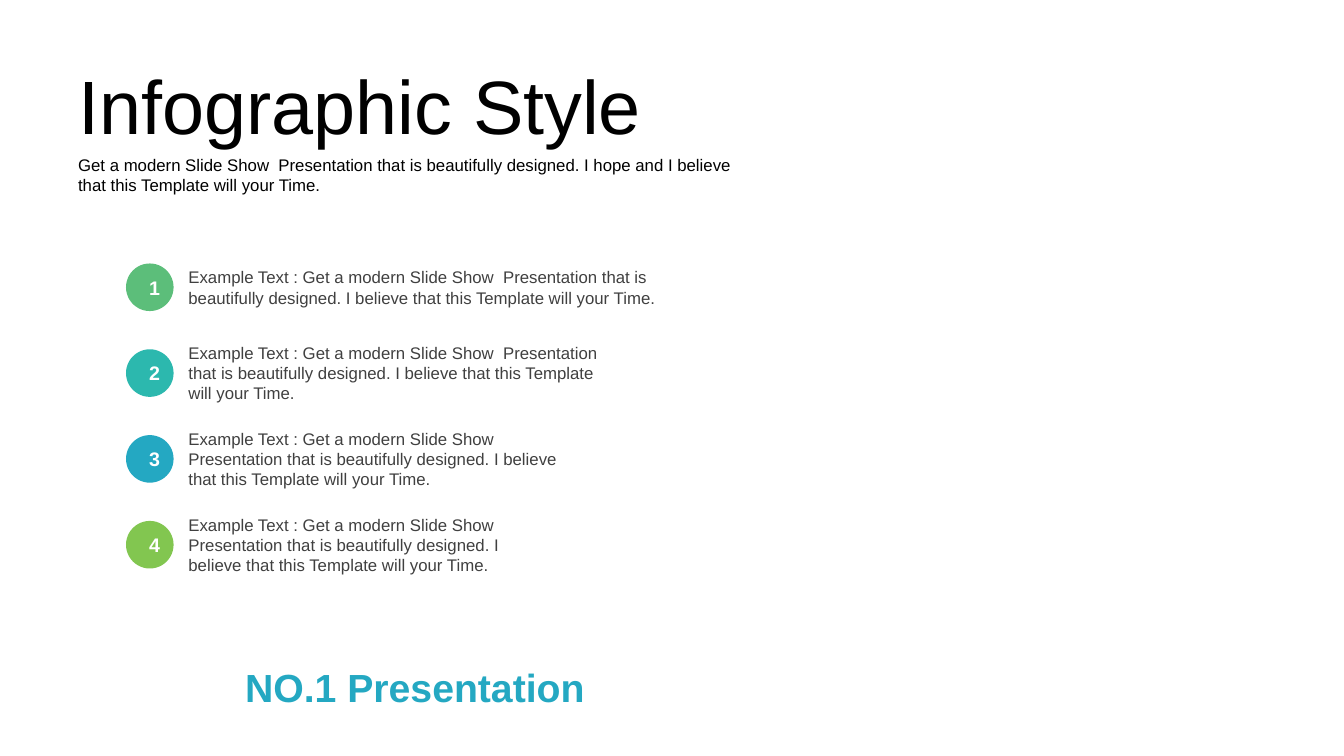
from dataclasses import dataclass

from pptx import Presentation
from pptx.dml.color import RGBColor
from pptx.enum.shapes import MSO_SHAPE
from pptx.enum.text import MSO_ANCHOR, MSO_AUTO_SIZE, PP_ALIGN
from pptx.util import Pt


@dataclass(frozen=True)
class Theme:
    font: str = "Arial"
    black: str = "000000"
    grey: str = "404040"
    white: str = "FFFFFF"
    accent: str = "24A8C2"
    badges: tuple = ("5CBE7A", "2CB8AE", "24A8C2", "82C650")
    title_size: float = 54
    body_size: float = 12
    number_size: float = 14
    footer_size: float = 28


THEME = Theme()
INTRO = ("Get a modern Slide Show  Presentation that is beautifully designed. "
         "I hope and I believe that this Template will your Time.")
EXAMPLE = ("Example Text : Get a modern Slide Show  Presentation that is "
           "beautifully designed. I believe that this Template will your Time.")
# Width and height of each label, narrowing down the slide
LABEL_SIZES = ((352, 36), (317, 51), (280, 51), (254, 51))


def place(shape, left, top, width, height):
    shape.left, shape.top = Pt(left), Pt(top)
    shape.width, shape.height = Pt(width), Pt(height)


def write(shape, text, *, size, color, bold=False, align=PP_ALIGN.LEFT,
          anchor=MSO_ANCHOR.TOP, inset_y=3.6):
    frame = shape.text_frame
    frame.word_wrap = True
    frame.auto_size = MSO_AUTO_SIZE.NONE
    frame.vertical_anchor = anchor
    frame.margin_left = frame.margin_right = Pt(7.2)
    frame.margin_top = frame.margin_bottom = Pt(inset_y)
    para = frame.paragraphs[0]
    para.alignment = align
    span = para.add_run()
    span.text = text
    span.font.name = THEME.font
    span.font.size = Pt(size)
    span.font.bold = bold
    span.font.color.rgb = RGBColor.from_string(color)


def add_text(page, text, left, top, width, height, **style):
    box = page.shapes.add_textbox(Pt(left), Pt(top), Pt(width), Pt(height))
    write(box, text, **style)


def add_heading(page, left, top, width):
    title = page.shapes.title
    place(title, left, top, width, 73)
    write(title, "Infographic Style", size=THEME.title_size,
          color=THEME.black, anchor=MSO_ANCHOR.MIDDLE)
    add_text(page, INTRO, left, top + 69, width - 2, 36,
             size=THEME.body_size, color=THEME.black)


def add_item(page, number, color, label_size, left, middle):
    """Add a numbered badge and its label, both centred on the height middle."""
    diameter = 34
    badge = page.shapes.add_shape(
        MSO_SHAPE.OVAL, Pt(left), Pt(middle - diameter / 2),
        Pt(diameter), Pt(diameter))
    badge.shadow.inherit = False
    badge.fill.solid()
    badge.fill.fore_color.rgb = RGBColor.from_string(color)
    badge.line.fill.background()

    width, height = label_size
    add_text(page, EXAMPLE, left + 37.5, middle - height / 2, width, height,
             size=THEME.body_size, color=THEME.grey, anchor=MSO_ANCHOR.MIDDLE)
    add_text(page, str(number), left + 9.4, middle - 8.5, 16, 17,
             size=THEME.number_size, color=THEME.white, bold=True,
             align=PP_ALIGN.CENTER, anchor=MSO_ANCHOR.MIDDLE, inset_y=0)


def add_items(page, left, first_middle, pitch):
    items = zip(THEME.badges, LABEL_SIZES)
    for index, (color, label_size) in enumerate(items):
        add_item(page, index + 1, color, label_size, left,
                 first_middle + index * pitch)


def add_footer(page, left, top, width, height):
    add_text(page, "NO.1 Presentation", left, top, width, height,
             size=THEME.footer_size, color=THEME.accent, bold=True,
             align=PP_ALIGN.RIGHT)


def main():
    deck = Presentation()
    deck.slide_width, deck.slide_height = Pt(960), Pt(540)
    page = deck.slides.add_slide(deck.slide_layouts[5])
    add_heading(page, left=48.7, top=38, width=487.5)
    add_items(page, left=90, first_middle=205.2, pitch=61.3)
    add_footer(page, left=147.6, top=470.2, width=277, height=41)
    deck.save("out.pptx")


if __name__ == "__main__":
    main()
